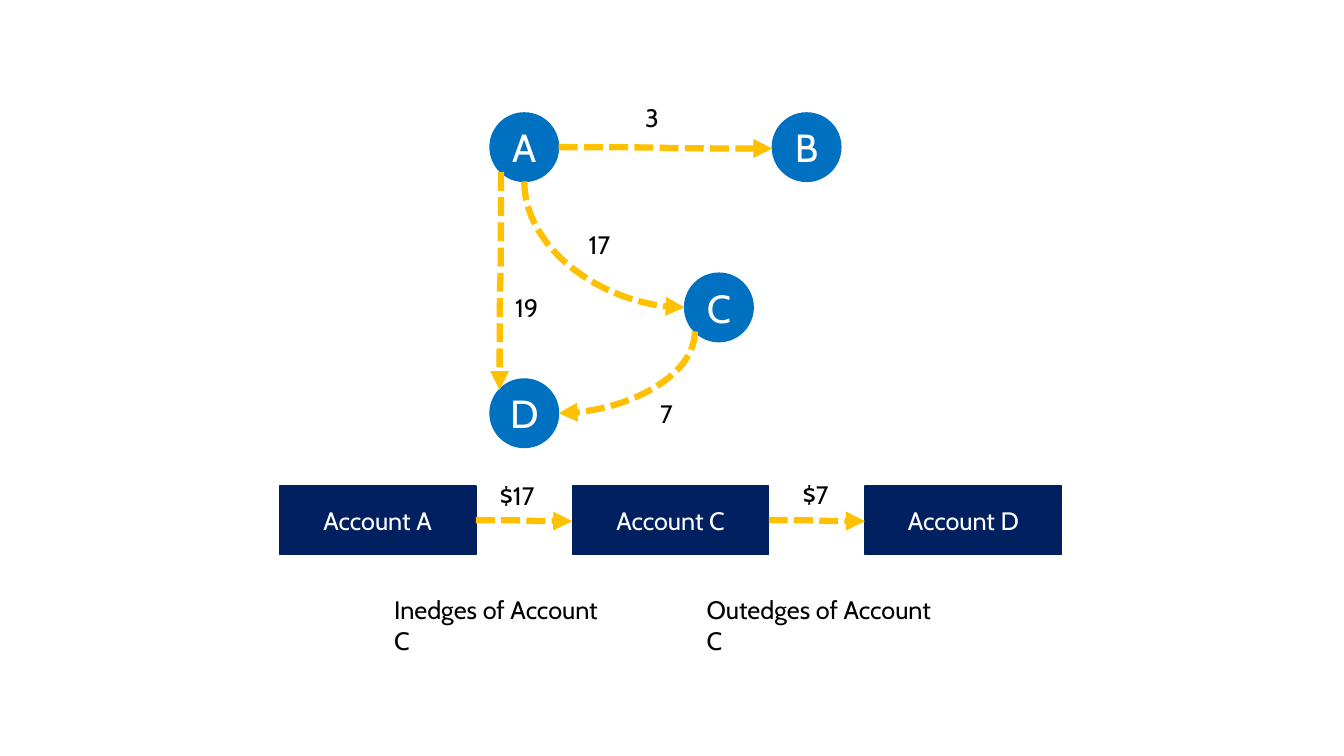
from pptx import Presentation, util as u
from pptx.dml.color import RGBColor
from pptx.enum import dml, shapes, text
from pptx.oxml.ns import qn
from lxml import etree

FONT = "Cabin"
BLUE, NAVY, GOLD, WHITE, BLACK = "0070C0", "002060", "FFC000", "FFFFFF", "000000"
NODE = 0.68
LABEL_HEIGHT = 0.4


def colour(value):
    return RGBColor.from_string(value)


def write(shape, words, size, shade):
    shape.text_frame.word_wrap = True
    para = shape.text_frame.paragraphs[0]
    para.text = words
    font = para.runs[0].font
    font.name, font.size = FONT, u.Pt(size)
    font.color.rgb = colour(shade)
    return para


def add_block(page, kind, box, words, size, fill):
    block = page.shapes.add_shape(kind, *map(u.Inches, box))
    block.shadow.inherit = False
    block.fill.solid()
    block.fill.fore_color.rgb = colour(fill)
    block.line.color.rgb = colour(fill)
    block.line.width = u.Pt(1)
    block.text_frame.vertical_anchor = text.MSO_ANCHOR.MIDDLE
    write(block, words, size, WHITE).alignment = text.PP_ALIGN.CENTER


def add_label(page, left, top, width, words):
    label = page.shapes.add_textbox(*map(u.Inches, (left, top, width, LABEL_HEIGHT)))
    write(label, words, 18, BLACK)


def add_edge(page, start, end, downward=False, bend=False):
    if downward:
        across, down = end[0] - start[0], end[1] - start[1]
        middle_x, middle_y = (start[0] + end[0]) / 2, (start[1] + end[1]) / 2
        start = (middle_x - down / 2, middle_y + across / 2)
        end = (middle_x + down / 2, middle_y - across / 2)
    edge = page.shapes.add_connector(
        shapes.MSO_CONNECTOR.CURVE, *map(u.Inches, (*start, *end)))
    edge.line.color.rgb = colour(GOLD)
    edge.line.width = u.Pt(4.5)
    edge.line.dash_style = dml.MSO_LINE.SQUARE_DOT
    properties = edge._element.spPr
    if downward:
        properties.find(qn("a:xfrm")).set("rot", "5400000")
    if bend:
        properties.find(qn("a:prstGeom")).set("prst", "curvedConnector2")
    etree.SubElement(properties.find(qn("a:ln")), qn("a:tailEnd"), type="triangle")
    etree.SubElement(properties, qn("a:effectLst"))


def add_graph(page, left, top, width, height):
    right, bottom = left + width - NODE, top + height - NODE
    nodes = {
        "A": (left, top),
        "B": (right, top),
        "C": (left + 1.93, top + 1.59),
        "D": (left, bottom),
    }
    for name, corner in nodes.items():
        add_block(page, shapes.MSO_SHAPE.OVAL, (*corner, NODE, NODE), name, 28, BLUE)

    def spot(name, across, down):
        x, y = nodes[name]
        return x + across * NODE, y + down * NODE

    add_edge(page, spot("A", 1, 0.5), spot("B", 0, 0.52))
    add_edge(page, spot("A", 0.5, 1), spot("C", 0, 0.5), True, True)
    add_edge(page, spot("A", 0.16, 0.86), spot("D", 0.14, 0.16), True)
    add_edge(page, spot("C", 0.15, 0.85), spot("D", 1, 0.5), True, True)
    for across, down, label_width, amount in (
        (1.44, -0.15, 0.33, "3"),
        (0.88, 1.11, 0.45, "17"),
        (0.15, 1.73, 0.45, "19"),
        (1.59, 2.78, 0.33, "7"),
    ):
        add_label(page, left + across, top + down, label_width, amount)


def add_flow(page, left, top, width, height):
    accounts = ("Account A", "Account C", "Account D")
    account_width = 1.95
    pitch = (width - account_width) / (len(accounts) - 1)
    for column, account in enumerate(accounts):
        box = (left + column * pitch, top, account_width, height)
        add_block(page, shapes.MSO_SHAPE.RECTANGLE, box, account, 18, NAVY)
    for column, (amount, label_width, inset, rise) in enumerate(
        (("$17", 0.59, 0.14, 0.1), ("$7", 0.46, 0.24, 0.11))
    ):
        gap = left + column * pitch + account_width
        add_edge(page, (gap, top + height / 2),
                 (left + (column + 1) * pitch, top + height / 2 + 0.01))
        add_label(page, gap + inset, top - rise, label_width, amount)
    add_label(page, left + 1.04, top + 1.03, 2.39, "Inedges of Account C")
    add_label(page, left + 4.14, top + 1.03, 2.62, "Outedges of Account C")


def main():
    deck = Presentation()
    deck.slide_width, deck.slide_height = u.Inches(13.33), u.Inches(7.5)
    page = deck.slides.add_slide(deck.slide_layouts[6])
    add_graph(page, 4.86, 1.12, 3.48, 3.32)
    add_flow(page, 2.77, 4.82, 7.76, 0.68)
    deck.save("out.pptx")


if __name__ == "__main__":
    main()
